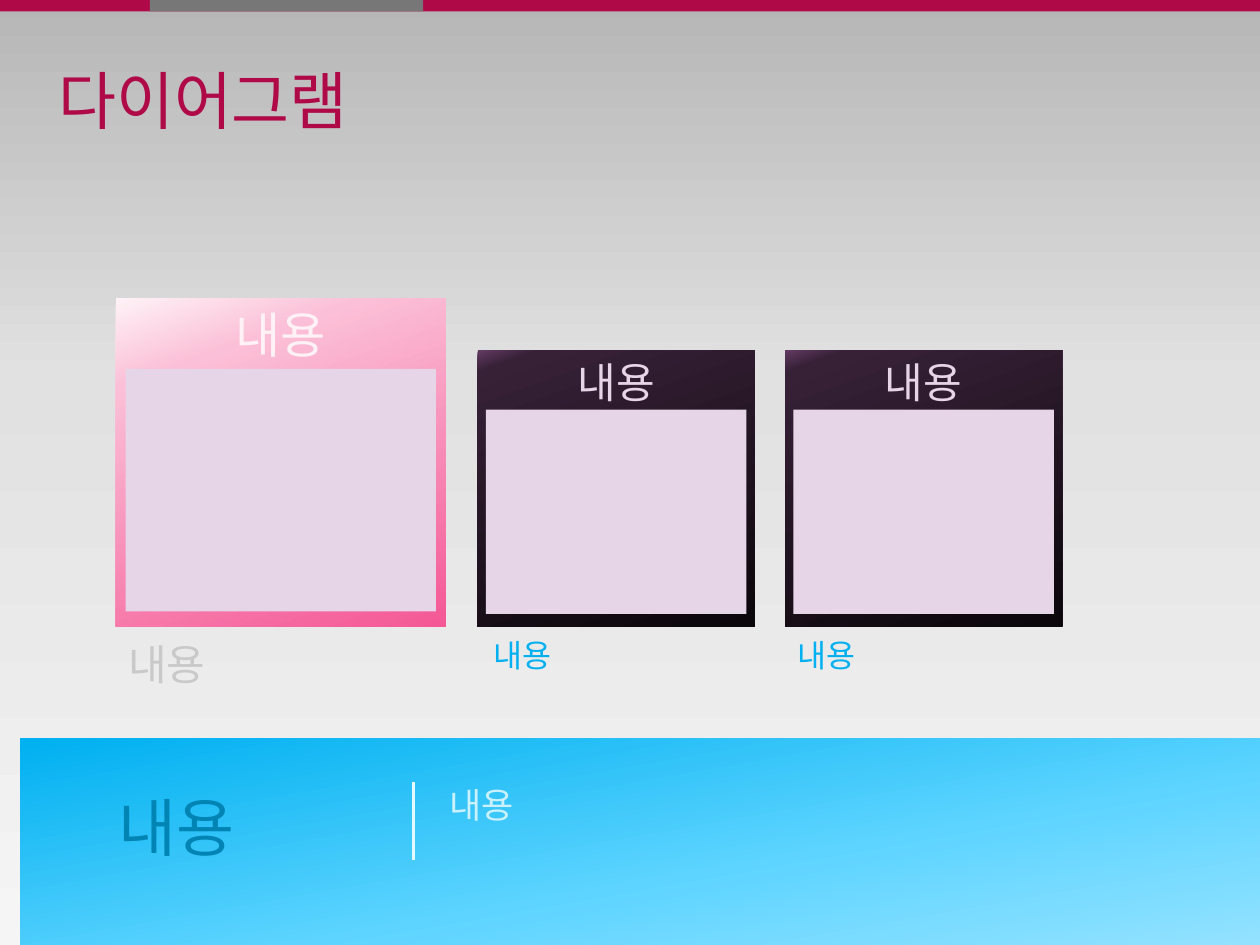
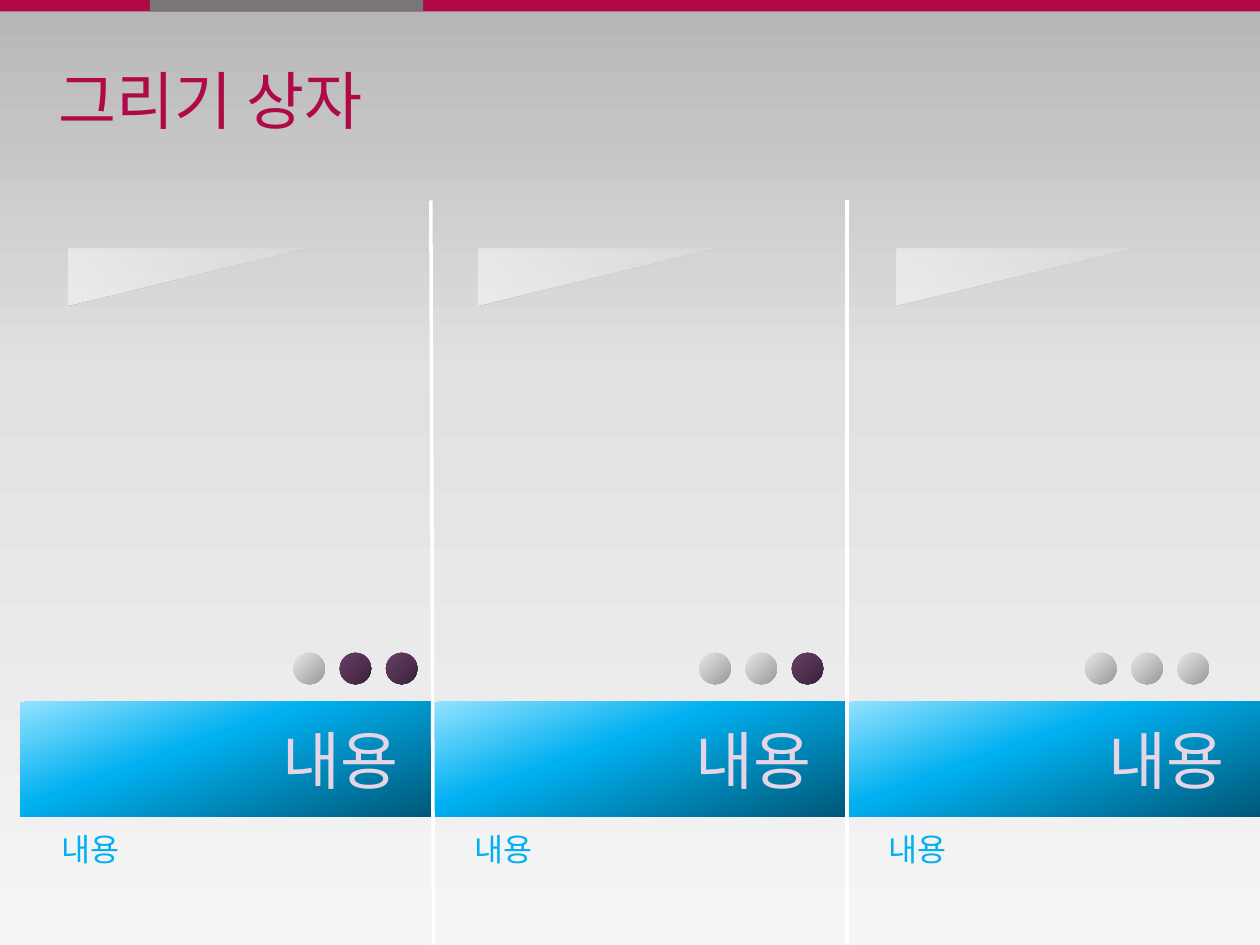
from lxml import etree
from pptx import Presentation
from pptx.dml.color import RGBColor
from pptx.enum.shapes import MSO_CONNECTOR, MSO_SHAPE
from pptx.enum.text import MSO_ANCHOR, MSO_AUTO_SIZE, PP_ALIGN
from pptx.oxml.ns import qn
from pptx.util import Pt

RECT, OVAL = MSO_SHAPE.RECTANGLE, MSO_SHAPE.OVAL
WEDGE = MSO_SHAPE.RIGHT_TRIANGLE
LINE = MSO_CONNECTOR.STRAIGHT
TOP, MIDDLE = MSO_ANCHOR.TOP, MSO_ANCHOR.MIDDLE
LEFT, CENTER, RIGHT = PP_ALIGN.LEFT, PP_ALIGN.CENTER, PP_ALIGN.RIGHT
GROW = MSO_AUTO_SIZE.SHAPE_TO_FIT_TEXT

HEX = {
    "red": "AF0948", "gray": "777777", "lilac": "E6D5E6", "blush": "FEF2F7",
    "blue": "00B0F0", "deep": "0084B4", "ice": "C9F1FF", "frost": "E4F8FF",
    "silver": "C9C9C9", "white": "FFFFFF",
}
# Gradients: clockwise angle, then stops of (position, colour, opacity)
GRADS = {
    "page": (90, [(0, "B6B6B6", 100), (40, "E1E1E1", 100), (100, "F5F5F5", 100)]),
    "plum": (70, [(0, "633B63", 100), (6, "372137", 100), (100, "0B070B", 100)]),
    "pink": (70, [(0, "FEF2F7", 100), (20, "FBC0D7", 100), (100, "F45895", 100)]),
    "sky": (260, [(0, "93E2FF", 100), (40, "5DD4FF", 100), (100, "00B0F0", 100)]),
    "sea": (70, [(0, "93E2FF", 100), (40, "00B0F0", 100), (100, "005878", 100)]),
    "off": (45, [(0, "E9E9E9", 100), (40, "C9C9C9", 100), (100, "979797", 100)]),
    "on": (45, [(0, "683F68", 100), (50, "523152", 100), (100, "372137", 100)]),
    "glass": (90, [(0, "FFFFFF", 15), (50, "FFFFFF", 30), (100, "FFFFFF", 50)]),
}
WIDTH, HEIGHT = 720, 540
LABEL = "내용"


def color(name):
    return RGBColor.from_string(HEX[name])


def blend(fill, root, name):
    """Fill with a named gradient; root is the XML that holds the fill."""
    angle, stops = GRADS[name]
    fill.gradient()
    grad = root.find(".//" + qn("a:gradFill"))
    grad.find(qn("a:lin")).set("ang", str(angle * 60000))
    rows = grad.find(qn("a:gsLst"))
    for old in list(rows):
        rows.remove(old)
    for pos, tone, alpha in stops:
        stop = etree.SubElement(rows, qn("a:gs"), pos=str(pos * 1000))
        rgb = etree.SubElement(stop, qn("a:srgbClr"), val=tone)
        if alpha < 100:
            etree.SubElement(rgb, qn("a:alpha"), val=str(alpha * 1000))


def shape(slide, kind, box, paint):
    item = slide.shapes.add_shape(kind, *map(Pt, box))
    item.shadow.inherit = False
    item.line.fill.background()
    if paint in GRADS:
        blend(item.fill, item._element.spPr, paint)
    else:
        item.fill.solid()
        item.fill.fore_color.rgb = color(paint)
    return item


def write(item, text, size, tone, align=LEFT, anchor=TOP, face="Arial"):
    frame = item.text_frame
    frame.word_wrap = True
    frame.vertical_anchor = anchor
    frame.text = text
    para = frame.paragraphs[0]
    para.alignment = align
    para.font.name, para.font.size = face, Pt(size)
    para.font.color.rgb = color(tone)
    return frame


def label(slide, box, size, tone, anchor=TOP):
    item = slide.shapes.add_textbox(*map(Pt, box))
    frame = write(item, LABEL, size, tone, anchor=anchor)
    frame.auto_size = GROW
    return frame


def rule(slide, start, end, tone, width):
    item = slide.shapes.add_connector(LINE, *map(Pt, start + end))
    item.line.color.rgb = color(tone)
    item.line.width = Pt(width)
    etree.SubElement(item._element.spPr, qn("a:effectLst"))


def base(deck, title):
    """Slide with the shared top band and title."""
    slide = deck.slides.add_slide(deck.slide_layouts[5])
    shape(slide, RECT, (0, 0, WIDTH, 6.5), "red")
    shape(slide, RECT, (85.7, 0, 156.2, 6.5), "gray")
    head = slide.shapes.title
    head.left, head.top, head.width, head.height = map(Pt, (26, 20.2, 648, 72.7))
    write(head, title, 36, "red", anchor=MIDDLE, face="Roboto")
    return slide


def card(slide, box, paint, size, tone):
    """Framed card: heading above a pale panel."""
    x, y, w, h = box
    write(shape(slide, RECT, box, paint), LABEL, size, tone, CENTER)
    inner = (x + 0.03 * w, y + 0.215 * h, 0.94 * w, 0.74 * h)
    shape(slide, RECT, inner, "lilac")


def banner(slide, box):
    """Bottom banner: key word, divider and detail."""
    x, y, w, h = box
    shape(slide, RECT, box, "sky")
    frame = label(slide, (x + 56.2, y + 28.8, 155.5, 43.2), 36, "deep", MIDDLE)
    frame.margin_left = frame.margin_right = 0
    frame.margin_top = frame.margin_bottom = 0
    label(slide, (x + 238.3, y + 22.3, 419.8, 55.4), 20, "ice")
    rule(slide, (x + 224.7, y + 25.2), (x + 224.7, y + 69.8), "frost", 1.5)


def column(slide, box, lit, dots, wedge):
    """Panel with caption, three dots (the last ones lit) and a wedge."""
    x, y, w, h = box
    frame = write(shape(slide, RECT, box, "sea"), LABEL, 36, "lilac", RIGHT, MIDDLE)
    frame.margin_right = Pt(20.2)
    label(slide, (x + 16.6, y + 69.9, 202.3, 51.1), 18, "blue")
    for i in range(3):
        paint = "on" if i >= 3 - lit else "off"
        shape(slide, OVAL, (x + dots + 26.4 * i, y - 28, 18, 18), paint)
    shape(slide, WEDGE, (x + wedge, y - 310.3, 32.4, 135.4), "glass").rotation = 90


def diagram(deck):
    slide = base(deck, "다이어그램")
    # Small cards
    for x, shift in ((272.9, 2.1), (448.6, 0)):
        card(slide, (x, 200.2, 158.4, 157.7), "plum", 24, "lilac")
        label(slide, (x + shift, 360, 157, 28.8), 18, "blue")
    # Main card
    card(slide, (66.2, 170.6, 188.6, 187.2), "pink", 28, "blush")
    label(slide, (66.2, 361.4, 187.2, 36), 24, "silver")
    banner(slide, (11.5, 421.9, 708.5, 118.1))


def boxes(deck):
    slide = base(deck, "그리기 상자")
    left, wide = 11.5, 236.2
    # Lit dots, dot offset and wedge offset for each column
    for i, parts in enumerate(((2, 156.2, 79.2), (1, 151.9, 77), (0, 136.1, 79.9))):
        column(slide, (left + wide * i, 401, wide, 65.5), *parts)
    # Dividers
    for i, lean in ((1, 1.5), (2, 0)):
        x = left + wide * i
        rule(slide, (x, HEIGHT), (x - lean, 114.5), "white", 2)


def main():
    deck = Presentation()
    deck.slide_width, deck.slide_height = Pt(WIDTH), Pt(HEIGHT)
    master = deck.slide_master
    blend(master.background.fill, master._element, "page")
    diagram(deck)
    boxes(deck)
    deck.save("out.pptx")


if __name__ == "__main__":
    main()
